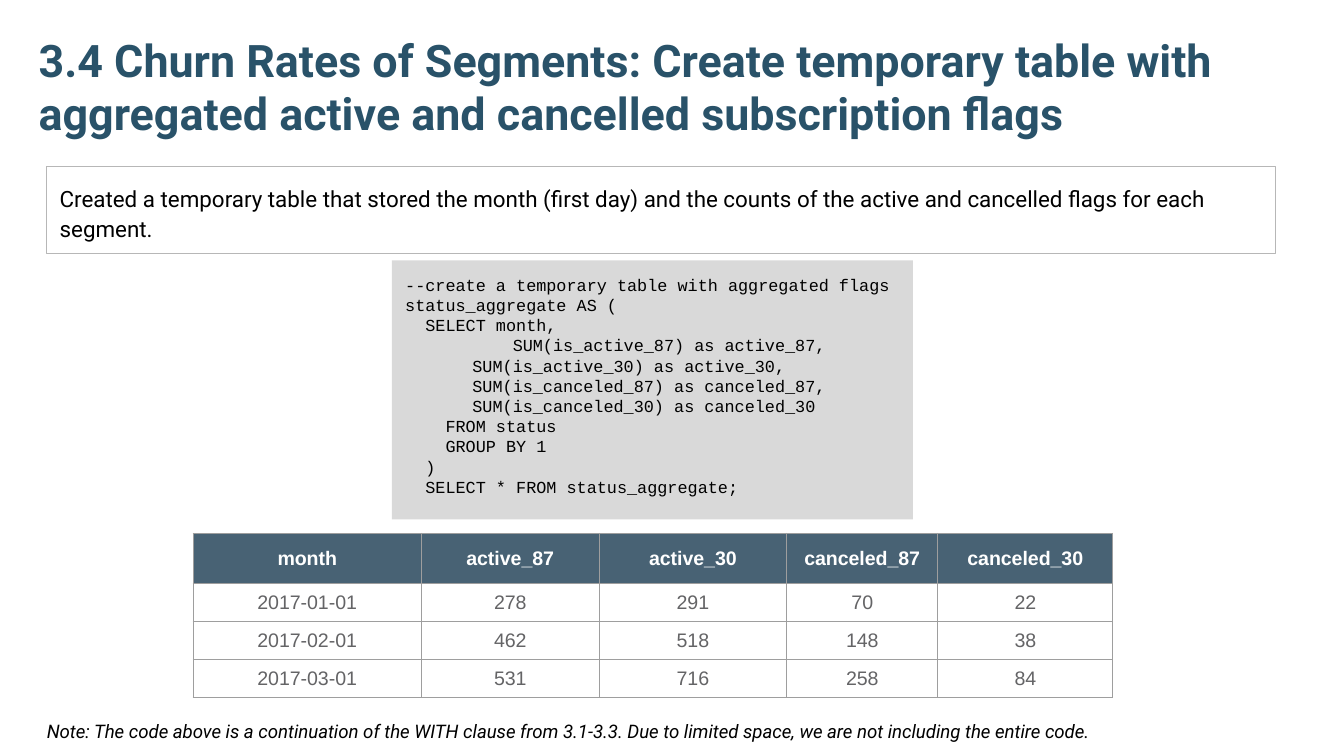
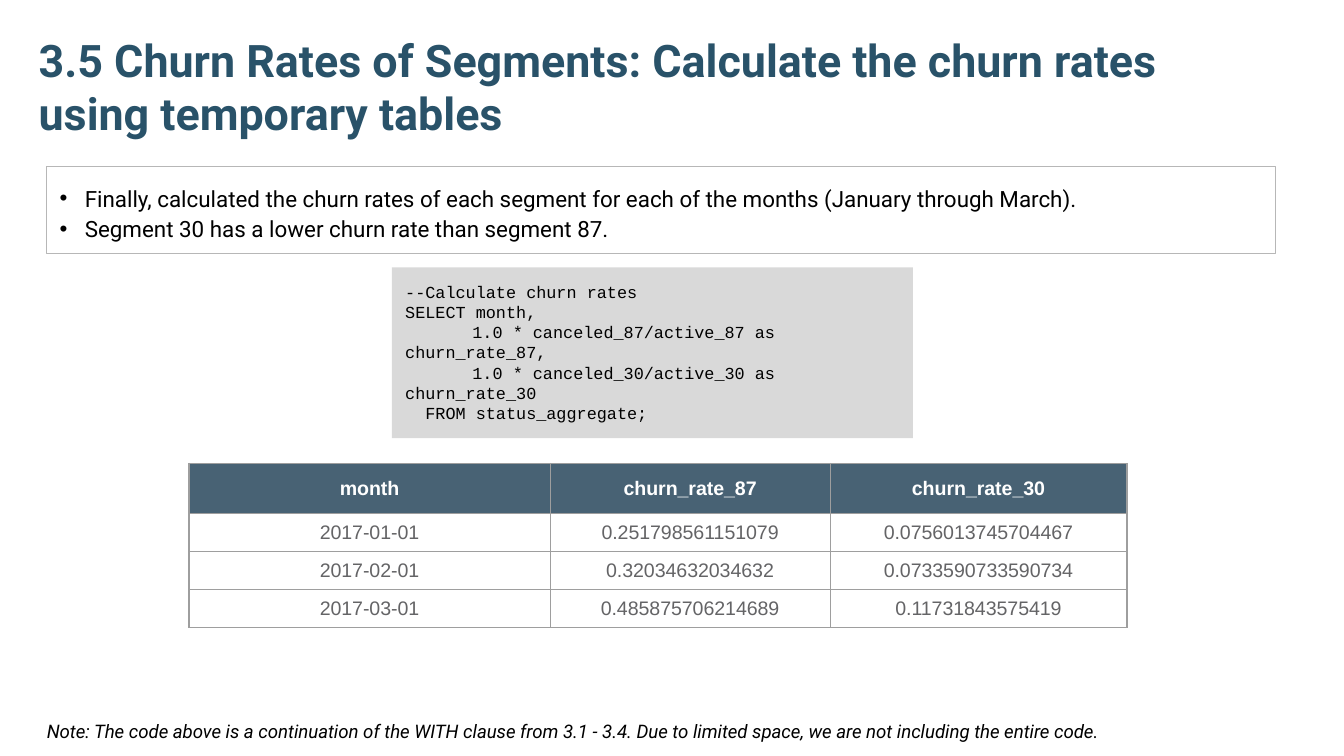
from lxml.etree import SubElement
from pptx import Presentation
from pptx.dml.color import RGBColor
from pptx.enum.shapes import MSO_SHAPE
from pptx.enum.text import MSO_ANCHOR, MSO_AUTO_SIZE, PP_ALIGN
from pptx.oxml import parse_xml
from pptx.oxml.ns import nsdecls, qn
from pptx.util import Pt

PX = 9525
INSET = 10 * PX
BULLET_INDENT = 18 * PX
HEADER_ROW, BODY_ROW = 36, 27

TITLE_BLUE = RGBColor(0x29, 0x52, 0x69)
HEADER_BLUE = RGBColor(0x20, 0x40, 0x56)
CODE_GRAY = RGBColor(0xD9, 0xD9, 0xD9)
FRAME_GRAY = RGBColor(0xB7, 0xB7, 0xB7)
BORDER_GRAY = RGBColor(0x9E, 0x9E, 0x9E)
CELL_GRAY = RGBColor(0x64, 0x64, 0x66)
BLACK = RGBColor(0, 0, 0)
WHITE = RGBColor(0xFF, 0xFF, 0xFF)

TITLE_FONT = {"name": "Roboto", "size": Pt(24), "bold": True, "color": TITLE_BLUE}
BODY_FONT = {"name": "Roboto", "size": Pt(12), "color": BLACK}
CODE_FONT = {"name": "Courier New", "size": Pt(9), "color": BLACK}
NOTE_FONT = {"name": "Roboto", "size": Pt(10), "italic": True, "color": BLACK}
HEADER_FONT = {"name": "Arial", "size": Pt(10.5), "bold": True, "color": WHITE}
CELL_FONT = {"name": "Arial", "size": Pt(10.5), "bold": False, "color": CELL_GRAY}

LEFT = {"alignment": PP_ALIGN.LEFT, "space_before": Pt(0)}
CENTERED = {"alignment": PP_ALIGN.CENTER}
SPACED = {**LEFT, "line_spacing": 1.15}
PADDED = {"word_wrap": True, "auto_size": MSO_AUTO_SIZE.NONE, "vertical_anchor": MSO_ANCHOR.TOP,
          "margin_top": INSET, "margin_bottom": INSET}
TITLE_FRAME = {**PADDED, "vertical_anchor": MSO_ANCHOR.BOTTOM}
NOTE_FRAME = {"word_wrap": True, "auto_size": MSO_AUTO_SIZE.SHAPE_TO_FIT_TEXT}

SLIDES = [
    {
        "title": "3.4 Churn Rates of Segments: Create temporary table with "
                 "aggregated active and cancelled subscription flags",
        "body": ["Created a temporary table that stored the month (first day) and the counts "
                 "of the active and cancelled flags for each segment."],
        "bulleted": False,
        "code_box": (280, 186, 372, 185),
        "code": [
            "--create a temporary table with aggregated flags",
            "status_aggregate AS (",
            "  SELECT month,",
            "\t    SUM(is_active_87) as active_87,",
            "    \tSUM(is_active_30) as active_30,",
            "    \tSUM(is_canceled_87) as canceled_87,",
            "    \tSUM(is_canceled_30) as canceled_30",
            "    FROM status",
            "    GROUP BY 1",
            "  )",
            "  SELECT * FROM status_aggregate;",
        ],
        "table_corner": (138, 381),
        "columns": [163, 127, 134, 108, 125],
        "rows": [
            ["month", "active_87", "active_30", "canceled_87", "canceled_30"],
            ["2017-01-01", "278", "291", "70", "22"],
            ["2017-02-01", "462", "518", "148", "38"],
            ["2017-03-01", "531", "716", "258", "84"],
        ],
        "sections": "3.1-3.3",
    },
    {
        "title": "3.5 Churn Rates of Segments: Calculate the churn rates using temporary tables",
        "body": ["Finally, calculated the churn rates of each segment for each of the months "
                 "(January through March).",
                 "Segment 30 has a lower churn rate than segment 87."],
        "bulleted": True,
        "code_box": (280, 191, 372, 122),
        "code": [
            "--Calculate churn rates",
            "SELECT month,",
            "  \t1.0 * canceled_87/active_87 as churn_rate_87,",
            "  \t1.0 * canceled_30/active_30 as churn_rate_30",
            "  FROM status_aggregate;",
        ],
        "table_corner": (135, 331),
        "columns": [258, 200, 212],
        "rows": [
            ["month", "churn_rate_87", "churn_rate_30"],
            ["2017-01-01", "0.251798561151079", "0.0756013745704467"],
            ["2017-02-01", "0.32034632034632", "0.0733590733590734"],
            ["2017-03-01", "0.485875706214689", "0.11731843575419"],
        ],
        "sections": "3.1 - 3.4",
    },
]


def place(shape, left, top, width, height):
    box = {"left": left, "top": top, "width": width, "height": height}
    for name, value in box.items():
        setattr(shape, name, value * PX)


def write(frame, lines, font, paragraph_format, frame_format):
    for name, value in frame_format.items():
        setattr(frame, name, value)
    for index, line in enumerate(lines):
        paragraph = frame.add_paragraph() if index else frame.paragraphs[0]
        for name, value in paragraph_format.items():
            setattr(paragraph, name, value)
        run = paragraph.add_run()
        run.text = line
        for name, value in font.items():
            if name == "color":
                run.font.color.rgb = value
            else:
                setattr(run.font, name, value)


presentation = Presentation()
presentation.slide_width = 960 * PX
presentation.slide_height = 540 * PX

for content in SLIDES:
    slide = presentation.slides.add_slide(presentation.slide_layouts[1])

    title = slide.shapes.title
    place(title, 18, 22, 895, 88)
    write(title.text_frame, [content["title"]], TITLE_FONT, LEFT, TITLE_FRAME)

    body = slide.placeholders[1]
    place(body, 33, 119, 878, 62)
    body.line.color.rgb = FRAME_GRAY
    body.line.width = Pt(0.75)
    write(body.text_frame, content["body"], BODY_FONT, SPACED, PADDED)
    indent = BULLET_INDENT if content["bulleted"] else 0
    for paragraph in body.text_frame.paragraphs:
        properties = paragraph._p.get_or_add_pPr()
        properties.set("marL", str(indent))
        properties.set("indent", str(-indent))
        if content["bulleted"]:
            bullet_color = SubElement(properties, qn("a:buClr"))
            SubElement(bullet_color, qn("a:srgbClr"), val=str(BLACK))
            SubElement(properties, qn("a:buFont"), typeface="Arial")
            SubElement(properties, qn("a:buChar"), char="•")
        else:
            SubElement(properties, qn("a:buNone"))

    code = slide.shapes.add_shape(
        MSO_SHAPE.RECTANGLE, *[length * PX for length in content["code_box"]])
    code.shadow.inherit = False
    code.fill.solid()
    code.fill.fore_color.rgb = CODE_GRAY
    code.line.fill.background()
    write(code.text_frame, content["code"], CODE_FONT, LEFT, PADDED)

    rows, columns = content["rows"], content["columns"]
    heights = [HEADER_ROW] + [BODY_ROW] * (len(rows) - 1)
    left, top = content["table_corner"]
    table = slide.shapes.add_table(
        len(rows), len(columns), left * PX, top * PX,
        sum(columns) * PX, sum(heights) * PX).table
    table.first_row = table.horz_banding = False
    for column, width in zip(table.columns, columns):
        column.width = width * PX
    for row_index, (values, height) in enumerate(zip(rows, heights)):
        table.rows[row_index].height = height * PX
        for column_index, value in enumerate(values):
            cell = table.cell(row_index, column_index)
            cell.vertical_anchor = MSO_ANCHOR.MIDDLE
            properties = cell._tc.get_or_add_tcPr()
            if row_index == 0:
                cell.fill.solid()
                cell.fill.fore_color.rgb = HEADER_BLUE
                color = properties.find(qn("a:solidFill")).find(qn("a:srgbClr"))
                SubElement(color, qn("a:alpha"), val="82000")
            else:
                cell.fill.background()
            for position, side in enumerate(("lnL", "lnR", "lnT", "lnB")):
                properties.insert(position, parse_xml(
                    f'<a:{side} {nsdecls("a")} w="{Pt(0.75)}"><a:solidFill>'
                    f'<a:srgbClr val="{BORDER_GRAY}"/></a:solidFill></a:{side}>'))
            font = CELL_FONT if row_index else HEADER_FONT
            write(cell.text_frame, [value], font, CENTERED, {})

    note = slide.shapes.add_textbox(24 * PX, 507 * PX, 895 * PX, 27 * PX)
    note_text = (f"Note: The code above is a continuation of the WITH clause from "
                 f"{content['sections']}. Due to limited space, we are not including the entire code.")
    write(note.text_frame, [note_text], NOTE_FONT, SPACED, NOTE_FRAME)

presentation.save("out.pptx")
